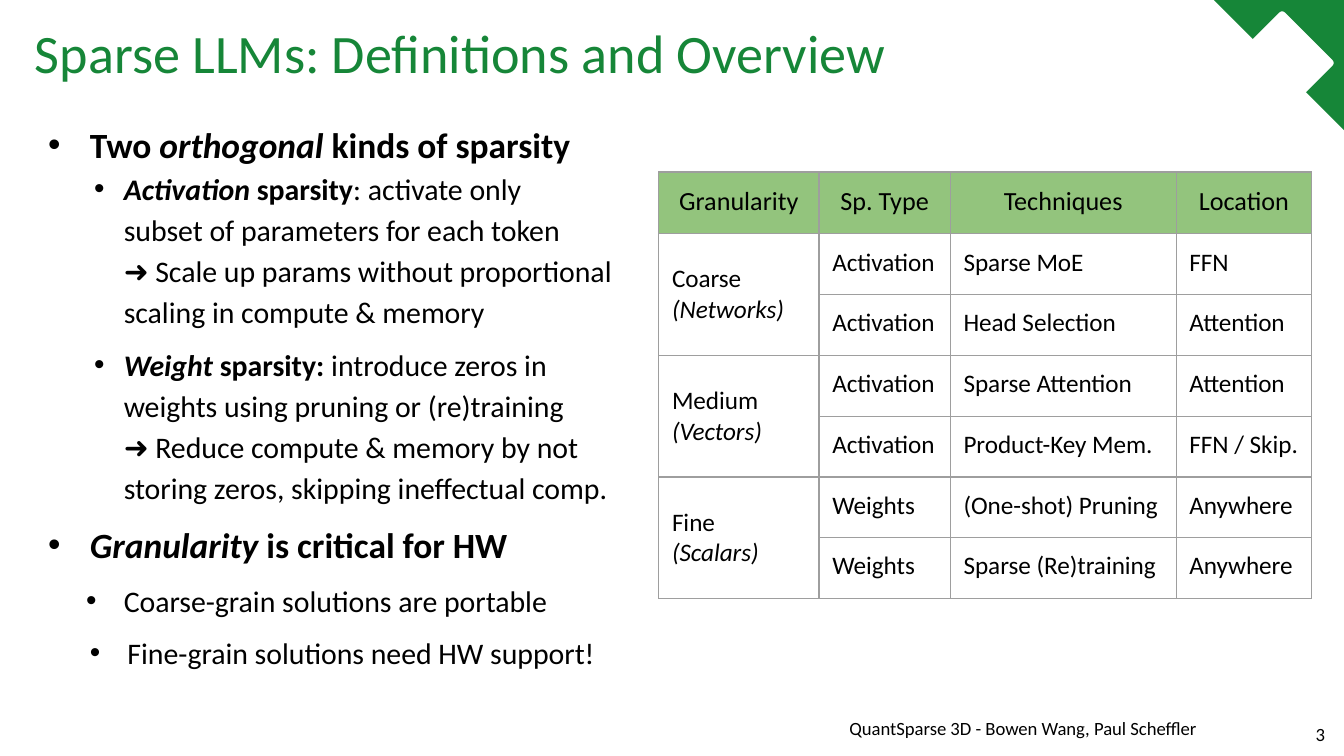
from dataclasses import dataclass

from lxml.etree import SubElement
from pptx import Presentation
from pptx.dml.color import RGBColor
from pptx.enum.shapes import MSO_SHAPE
from pptx.enum.text import MSO_ANCHOR, PP_ALIGN
from pptx.oxml.ns import qn
from pptx.util import Cm, Pt

GREEN = RGBColor(0x16, 0x86, 0x38)
LIGHT = RGBColor(0x93, 0xC4, 0x7D)
GREY = RGBColor(0x9E, 0x9E, 0x9E)
BLACK = RGBColor(0, 0, 0)
WHITE = RGBColor(255, 255, 255)
FONT = "Calibri"


@dataclass
class Box:
    left: float
    top: float
    width: float
    height: float

    def place(self) -> tuple:
        return Cm(self.left), Cm(self.top), Cm(self.width), Cm(self.height)


@dataclass
class Bit:
    text: str
    bold: bool = False
    ital: bool = False


@dataclass
class Point:
    """A bulleted paragraph; indents in centimetres."""
    bits: list
    size: float
    left: float
    hang: float
    line: float = 1.15
    before: float = 6
    after: float = 0


@dataclass
class Deco:
    kind: MSO_SHAPE
    box: Box
    turn: float
    adjust: float
    color: RGBColor


DECOS = [
    Deco(MSO_SHAPE.ISOSCELES_TRIANGLE, Box(22.94, 0, 2.46, 2.46), 270, 1, GREEN),
    Deco(MSO_SHAPE.ROUNDED_RECTANGLE, Box(23.09, 0.79, 0.79, 0.79), 45, 0.05, WHITE),
    Deco(MSO_SHAPE.ROUNDED_RECTANGLE, Box(23.52, 0.48, 1.42, 1.42), 45, 0.05, WHITE),
]

POINTS = [
    Point([Bit("Two ", True), Bit("orthogonal ", True, True),
           Bit("kinds of sparsity", True)], 19, 1.04, 0.79, line=1.2, before=0),
    Point([Bit("Activation", True, True), Bit(" sparsity", True),
           Bit(": activate only \nsubset of parameters for each token \n"
               "➜ Scale up params without proportional\n"
               "scaling in compute & memory")], 16, 1.68, 0.56, before=0),
    Point([Bit("Weight", True, True), Bit(" sparsity: ", True),
           Bit("introduce zeros in weights using pruning or (re)training\n"
               "➜ Reduce compute & memory by not\n"
               "storing zeros, skipping ineffectual comp.")], 16, 1.68, 0.56),
    Point([Bit("Granularity", True, True), Bit(" is critical for HW", True)],
          19, 1.04, 0.79),
    Point([Bit("Coarse-grain solutions are portable")], 16, 1.68, 0.71),
    Point([Bit("Fine-grain solutions need HW support!")], 16, 1.75, 0.71, after=6),
]

HEADS = ["Granularity", "Sp. Type", "Techniques", "Location"]
GROUPS = [("Coarse\n", "(Networks)"), ("Medium ", "(Vectors)"), ("Fine\n", "(Scalars)")]
ROWS = [
    ("Activation", "Sparse MoE", "FFN"),
    ("Activation", "Head Selection", "Attention"),
    ("Activation", "Sparse Attention", "Attention"),
    ("Activation", "Product-Key Mem.", "FFN / Skip."),
    ("Weights", "(One-shot) Pruning", "Anywhere"),
    ("Weights", "Sparse (Re)training", "Anywhere"),
]
WIDTHS = [3.03, 2.48, 4.27, 2.56]
HEAD_ROW, BODY_ROW = 1.17, 1.15


def write(para, bits: list, size: float, color: RGBColor = BLACK) -> None:
    """Add the bits as runs, with a line break at each newline."""
    for bit in bits:
        for i, line in enumerate(bit.text.split("\n")):
            if i:
                para.add_line_break()
            if not line:
                continue
            run = para.add_run()
            run.text = line
            font = run.font
            font.name, font.size = FONT, Pt(size)
            font.bold, font.italic = bit.bold, bit.ital
            font.color.rgb = color


def add_box(slide, box: Box, anchor: MSO_ANCHOR, side: float, edge: float):
    frame = slide.shapes.add_textbox(*box.place()).text_frame
    frame.word_wrap = True
    frame.vertical_anchor = anchor
    frame.margin_left = frame.margin_right = Cm(side)
    frame.margin_top = frame.margin_bottom = Cm(edge)
    return frame


def add_deco(slide, deco: Deco) -> None:
    shape = slide.shapes.add_shape(deco.kind, *deco.box.place())
    shape.rotation = deco.turn
    shape.adjustments[0] = deco.adjust
    shape.shadow.inherit = False
    shape.fill.solid()
    shape.fill.fore_color.rgb = deco.color
    shape.line.fill.background()


def add_note(slide, box: Box, text: str) -> None:
    para = add_box(slide, box, MSO_ANCHOR.BOTTOM, 0.2, 0.1).paragraphs[0]
    para.alignment = PP_ALIGN.RIGHT
    write(para, [Bit(text)], 10)


def add_points(slide, box: Box, points: list) -> None:
    frame = add_box(slide, box, MSO_ANCHOR.TOP, 0, 0.1)
    for i, point in enumerate(points):
        para = frame.add_paragraph() if i else frame.paragraphs[0]
        props = para._p.get_or_add_pPr()
        props.set("marL", str(Cm(point.left)))
        props.set("indent", str(-Cm(point.hang)))
        tint = SubElement(props, qn("a:buClr"))
        SubElement(tint, qn("a:srgbClr"), val=str(BLACK))
        SubElement(props, qn("a:buFont"), typeface="Arial")
        SubElement(props, qn("a:buChar"), char="•")
        para.line_spacing = point.line
        para.space_before = Pt(point.before)
        para.space_after = Pt(point.after)
        write(para, point.bits, point.size)


def style(cell, fill: RGBColor | None = None) -> None:
    """Set margins, thin grey borders and the fill of a cell."""
    cell.margin_left = cell.margin_right = Cm(0.25)
    cell.margin_top = cell.margin_bottom = Cm(0.25)
    props = cell._tc.get_or_add_tcPr()
    for side in ("lnL", "lnR", "lnT", "lnB"):
        line = SubElement(props, qn(f"a:{side}"), w=str(Pt(0.75)))
        SubElement(SubElement(line, qn("a:solidFill")), qn("a:srgbClr"), val=str(GREY))
    if fill is None:
        cell.fill.background()
    else:
        cell.fill.solid()
        cell.fill.fore_color.rgb = fill


def add_grid(slide, left: float, top: float) -> None:
    box = Box(left, top, sum(WIDTHS), HEAD_ROW + BODY_ROW * len(ROWS))
    grid = slide.shapes.add_table(len(ROWS) + 1, len(HEADS), *box.place()).table
    grid.first_row = grid.horz_banding = False
    for col, width in zip(grid.columns, WIDTHS):
        col.width = Cm(width)
    for i, row in enumerate(grid.rows):
        row.height = Cm(BODY_ROW if i else HEAD_ROW)
        for cell in row.cells:
            style(cell, None if i else LIGHT)
    for c, head in enumerate(HEADS):
        para = grid.cell(0, c).text_frame.paragraphs[0]
        para.alignment = PP_ALIGN.CENTER
        write(para, [Bit(head)], 14)
    for r, texts in enumerate(ROWS, 1):
        for c, text in enumerate(texts, 1):
            write(grid.cell(r, c).text_frame.paragraphs[0], [Bit(text)], 13.5)
    for i, (name, unit) in enumerate(GROUPS):
        cell = grid.cell(2 * i + 1, 0)
        cell.merge(grid.cell(2 * i + 2, 0))
        cell.vertical_anchor = MSO_ANCHOR.MIDDLE
        write(cell.text_frame.paragraphs[0], [Bit(name), Bit(unit, ital=True)], 13.5)


def main() -> None:
    deck = Presentation()
    deck.slide_width, deck.slide_height = Cm(25.4), Cm(14.29)
    slide = deck.slides.add_slide(deck.slide_layouts[6])
    for deco in DECOS:
        add_deco(slide, deco)
    title = add_box(slide, Box(0.66, 0.38, 22.23, 1.37), MSO_ANCHOR.MIDDLE, 0, 0).paragraphs[0]
    title.line_spacing = 0.9
    write(title, [Bit("Sparse LLMs: Definitions and Overview")], 29, GREEN)
    add_note(slide, Box(7.72, 13.44, 15.09, 0.64), "QuantSparse 3D - Bowen Wang, Paul Scheffler")
    add_note(slide, Box(24.05, 13.54, 1.19, 0.64), "3")
    add_grid(slide, 12.45, 3.25)
    add_points(slide, Box(0.66, 2.06, 11.2, 10.62), POINTS)
    deck.save("out.pptx")


if __name__ == "__main__":
    main()
